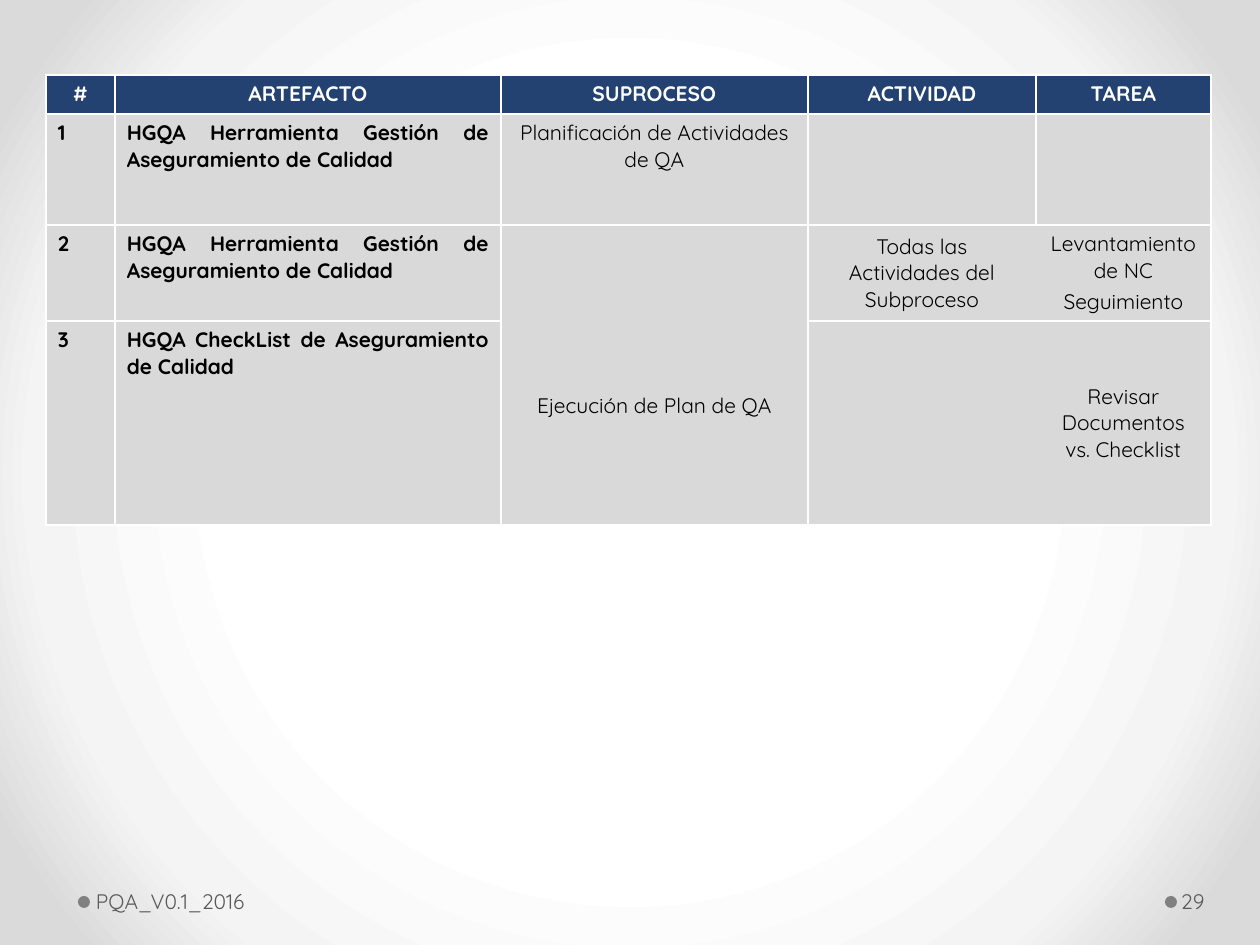
from pptx import Presentation
from pptx.dml.color import RGBColor
from pptx.enum.shapes import MSO_SHAPE as SHAPE
from pptx.enum.text import MSO_ANCHOR as ANCHOR, PP_ALIGN as ALIGN
from pptx.oxml import parse_xml
from pptx.oxml.ns import nsdecls, qn
from pptx.util import Emu, Pt
from lxml.etree import SubElement

FONT = "Quicksand"
NO_STYLE = "{2D5ABB26-0587-4C30-8999-92F81FD0307C}"
COLS = [69, 386, 307, 228, 175]
ROWS = [39, 111, 96, 204]
TOOL = "HGQA Herramienta Gestión de Aseguramiento de Calidad"
CELLS = [
    ["#", "ARTEFACTO", "SUPROCESO", "ACTIVIDAD", "TAREA"],
    ["1", TOOL, "Planificación de Actividades de QA", "", ""],
    ["2", TOOL, "Ejecución de Plan de QA",
     "Todas las Actividades del Subproceso", "Levantamiento de NC\nSeguimiento"],
    ["3", "HGQA CheckList de Aseguramiento de Calidad", "", "",
     "Revisar Documentos vs. Checklist"],
]


def px(n):
    """Turn picture pixels into EMU."""
    return Emu(round(n * 914400 / 126))


def rgb(color):
    """Turn a hex string into a colour."""
    return RGBColor.from_string(color)


def style_text(tf, color, bold=False, align=ALIGN.LEFT):
    """Format every paragraph and run of a text frame."""
    for i, p in enumerate(tf.paragraphs):
        p.alignment = align
        p.space_before = Pt(3 if i else 0)
        p.font.size = Pt(12)
        for r in p.runs:
            r.font.name, r.font.size, r.font.bold = FONT, Pt(12), bold
            r.font.color.rgb = rgb(color)


def set_borders(cell, widths):
    """Draw white cell borders, given as side to width in points."""
    tcPr = cell._tc.get_or_add_tcPr()
    for i, side in enumerate("LRTB"):
        width = widths.get(side, 0)
        ln = parse_xml(f'<a:ln{side} {nsdecls("a")} w="{int(width * 12700)}"/>')
        if width:
            fill = SubElement(ln, qn("a:solidFill"))
            SubElement(fill, qn("a:srgbClr")).set("val", "FFFFFF")
        else:
            SubElement(ln, qn("a:noFill"))
        tcPr.insert(i, ln)


def borders_for(row, col):
    """Give the border widths of one cell."""
    widths = dict.fromkeys("LRTB", 1)
    if row >= 2:
        if col == 1:
            widths["R"] = 1.5
        elif col == 2:
            widths = dict.fromkeys("LRTB", 1.5)
        elif col == 3:
            widths = dict.fromkeys("LTB", 1.5)
        elif col == 4:
            del widths["L"]
    elif row == 1 and col in (2, 3):
        widths["B"] = 1.5
    return widths


def add_background(s):
    """Fill the slide with a radial grey gradient."""
    stops = "".join(
        f'<a:gs pos="{pos}000"><a:srgbClr val="{color}"/></a:gs>'
        for pos, color in [(50, "FFFFFF"), (76, "F4F4F4"), (92, "DADADA")])
    s._element.cSld.insert(0, parse_xml(
        f'<p:bg {nsdecls("p", "a")}><p:bgPr><a:gradFill rotWithShape="1">'
        f'<a:gsLst>{stops}</a:gsLst><a:path path="circle">'
        '<a:fillToRect l="50000" t="50000" r="50000" b="50000"/></a:path>'
        '</a:gradFill><a:effectLst/></p:bgPr></p:bg>'))


def add_artifact_table(s, x, y):
    """Place the table of artefacts with its corner at x, y."""
    frame = s.shapes.add_table(len(ROWS), len(COLS), px(x), px(y),
                               px(sum(COLS)), px(sum(ROWS)))
    table = frame.table
    table.first_row = table.horz_banding = False
    table._tbl.tblPr.find(qn("a:tableStyleId")).text = NO_STYLE
    for col, width in zip(table.columns, COLS):
        col.width = px(width)
    for row, height in zip(table.rows, ROWS):
        row.height = px(height)
    table.cell(2, 2).merge(table.cell(3, 2))
    for i, texts in enumerate(CELLS):
        for j, text in enumerate(texts):
            cell = table.cell(i, j)
            cell.fill.solid()
            cell.fill.fore_color.rgb = rgb("D9D9D9" if i else "234271")
            cell.margin_left = cell.margin_right = px(12)
            cell.margin_top = cell.margin_bottom = px(6)
            middle = i >= 2 and j >= 2
            cell.vertical_anchor = ANCHOR.MIDDLE if middle else ANCHOR.TOP
            cell.text_frame.text = text
            label = i > 0 and j < 2
            style_text(cell.text_frame, "000000" if i else "FFFFFF",
                       i == 0 or j < 2, ALIGN.JUSTIFY if label else ALIGN.CENTER)
            set_borders(cell, borders_for(i, j))
    table.cell(2, 2).margin_top = px(68)


def add_footer_item(s, x, y, w, text, inset):
    """Place a grey dot and the footer text to its right."""
    dot = s.shapes.add_shape(SHAPE.OVAL, px(x), px(y + 20), px(12), px(12))
    dot.shadow.inherit = False
    dot.fill.solid()
    dot.fill.fore_color.rgb = rgb("808080")
    dot.line.fill.background()
    tf = s.shapes.add_textbox(px(x + 12), px(y), px(w), px(50)).text_frame
    tf.word_wrap = True
    tf.vertical_anchor = ANCHOR.MIDDLE
    tf.margin_left = px(inset)
    tf.margin_top = tf.margin_bottom = px(6)
    tf.text = text
    style_text(tf, "595959")


def build_slide(prs):
    """Build the slide of quality artefacts."""
    s = prs.slides.add_slide(prs.slide_layouts[6])
    add_background(s)
    add_footer_item(s, 1165, 876, 77, "29", 4)
    add_footer_item(s, 78, 876, 499, "PQA_V0.1_2016", 6)
    add_artifact_table(s, 46, 75)


prs = Presentation()
prs.slide_width, prs.slide_height = px(1260), px(945)
build_slide(prs)
prs.save("out.pptx")
